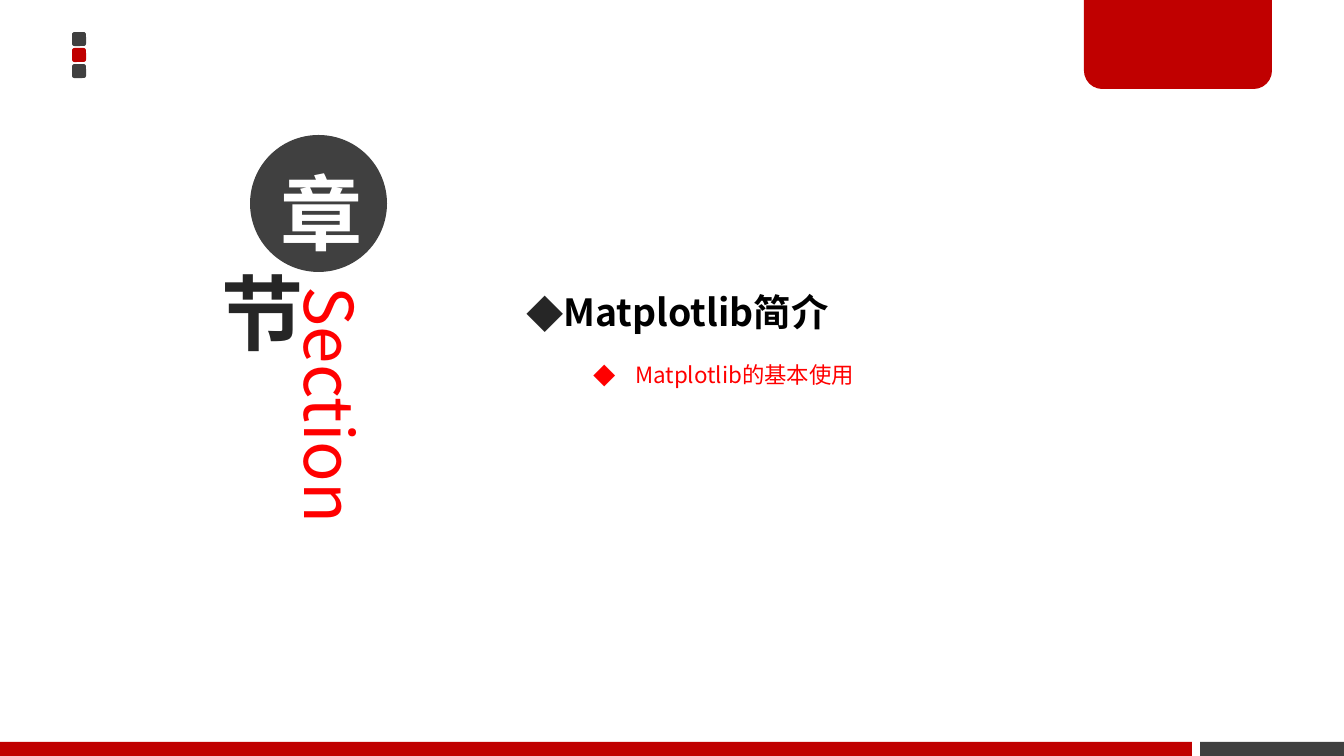
import dataclasses

import lxml.etree
import pptx
import pptx.dml.color
import pptx.enum.shapes
import pptx.enum.text
import pptx.oxml.ns
import pptx.util

SCALE = 914400 / 134.4
SHAPES = pptx.enum.shapes.MSO_SHAPE
ANCHOR = pptx.enum.text.MSO_ANCHOR
ALIGN = pptx.enum.text.PP_ALIGN


@dataclasses.dataclass(frozen=True)
class Theme:
    font: str = "Noto Sans CJK SC"
    red: str = "C00000"
    bright_red: str = "FF0000"
    gray: str = "404040"
    dark: str = "262626"
    black: str = "000000"
    white: str = "FFFFFF"
    character_size: int = 44
    label_size: int = 36
    heading_size: int = 20
    topic_size: int = 12


def px(value):
    return pptx.util.Emu(round(value * SCALE))


def rgb(value):
    return pptx.dml.color.RGBColor.from_string(value)


def add_element(parent, tag, **attributes):
    return lxml.etree.SubElement(parent, pptx.oxml.ns.qn(tag), **attributes)


class SlideBuilder:
    def __init__(self, slide, theme):
        self.slide = slide
        self.theme = theme

    def shape(self, kind, bounds, fill=None, adjustments=()):
        shape = self.slide.shapes.add_shape(kind, *map(px, bounds))
        shape.shadow.inherit = False
        shape.line.fill.background()
        if fill:
            shape.fill.solid()
            shape.fill.fore_color.rgb = rgb(fill)
        else:
            shape.fill.background()
        for index, value in enumerate(adjustments):
            shape.adjustments[index] = value
        return shape

    def text_box(self, bounds):
        box = self.slide.shapes.add_textbox(*map(px, bounds))
        box.text_frame.word_wrap = True
        return box

    def margins(self, frame, bottom=5):
        frame.margin_left = frame.margin_right = px(10)
        frame.margin_top = px(5)
        frame.margin_bottom = px(bottom)

    def set_text(self, para, text, size, color, bold=False):
        para.text = text
        for span in para.runs:
            font = span.font
            font.name = self.theme.font
            font.size = pptx.util.Pt(size)
            font.bold = bold
            font.color.rgb = rgb(color)
            add_element(font._element, "a:ea", typeface=self.theme.font)

    def character(self, bounds, text, color, fill=None, bottom=5, spacing=None):
        circle = self.shape(SHAPES.OVAL, bounds, fill)
        frame = circle.text_frame
        self.margins(frame, bottom)
        frame.vertical_anchor = ANCHOR.MIDDLE
        para = frame.paragraphs[0]
        para.alignment = ALIGN.CENTER
        if spacing:
            para.line_spacing = pptx.util.Pt(spacing)
        self.set_text(para, text, self.theme.character_size, color, True)

    def vertical_label(self, bounds, text):
        frame = self.text_box(bounds).text_frame
        self.margins(frame)
        frame._txBody.bodyPr.set("vert", "vert")
        self.set_text(frame.paragraphs[0], text, self.theme.label_size, self.theme.bright_red)

    def bullet(self, para, margin, hanging, color):
        para.line_spacing = 2.0
        properties = para._p.get_or_add_pPr()
        properties.set("marL", str(px(margin)))
        properties.set("indent", str(px(-hanging)))
        bullet_color = add_element(properties, "a:buClr")
        add_element(bullet_color, "a:srgbClr", val=color)
        add_element(properties, "a:buFont", typeface=self.theme.font)
        add_element(properties, "a:buChar", char="◆")

    def outline(self, bounds, heading, topic):
        theme = self.theme
        frame = self.text_box(bounds).text_frame
        frame.auto_size = pptx.enum.text.MSO_AUTO_SIZE.SHAPE_TO_FIT_TEXT
        para = frame.paragraphs[0]
        self.set_text(para, heading, theme.heading_size, theme.black, True)
        self.bullet(para, 26, 26, theme.dark)
        para = frame.add_paragraph()
        para.level = 1
        self.set_text(para, topic, theme.topic_size, theme.bright_red)
        self.bullet(para, 109, 42, theme.bright_red)


def main():
    theme = Theme()
    deck = pptx.Presentation()
    deck.slide_width, deck.slide_height = px(1344), px(756)
    builder = SlideBuilder(deck.slides.add_slide(deck.slide_layouts[6]), theme)

    for index, color in enumerate((theme.gray, theme.red, theme.gray)):
        builder.shape(SHAPES.ROUNDED_RECTANGLE, (72, 32 + 16 * index, 14, 14), color, (0.17,))
    builder.shape(SHAPES.RECTANGLE, (1200, 742, 144, 14), theme.gray)
    builder.shape(SHAPES.ROUND_2_SAME_RECTANGLE, (1084, -3, 188, 92), theme.red, (0, 0.2))
    builder.shape(SHAPES.RECTANGLE, (0, 742, 1192, 14), theme.red)

    builder.vertical_label((288, 282, 94, 388), "Section")
    builder.character((250, 135, 137, 137), "章", theme.white, theme.gray, bottom=20, spacing=70)
    builder.character((196, 258, 108, 108), "节", theme.dark)
    builder.outline((513, 238, 645, 151), "Matplotlib简介", "Matplotlib的基本使用")

    deck.save("out.pptx")


if __name__ == "__main__":
    main()
